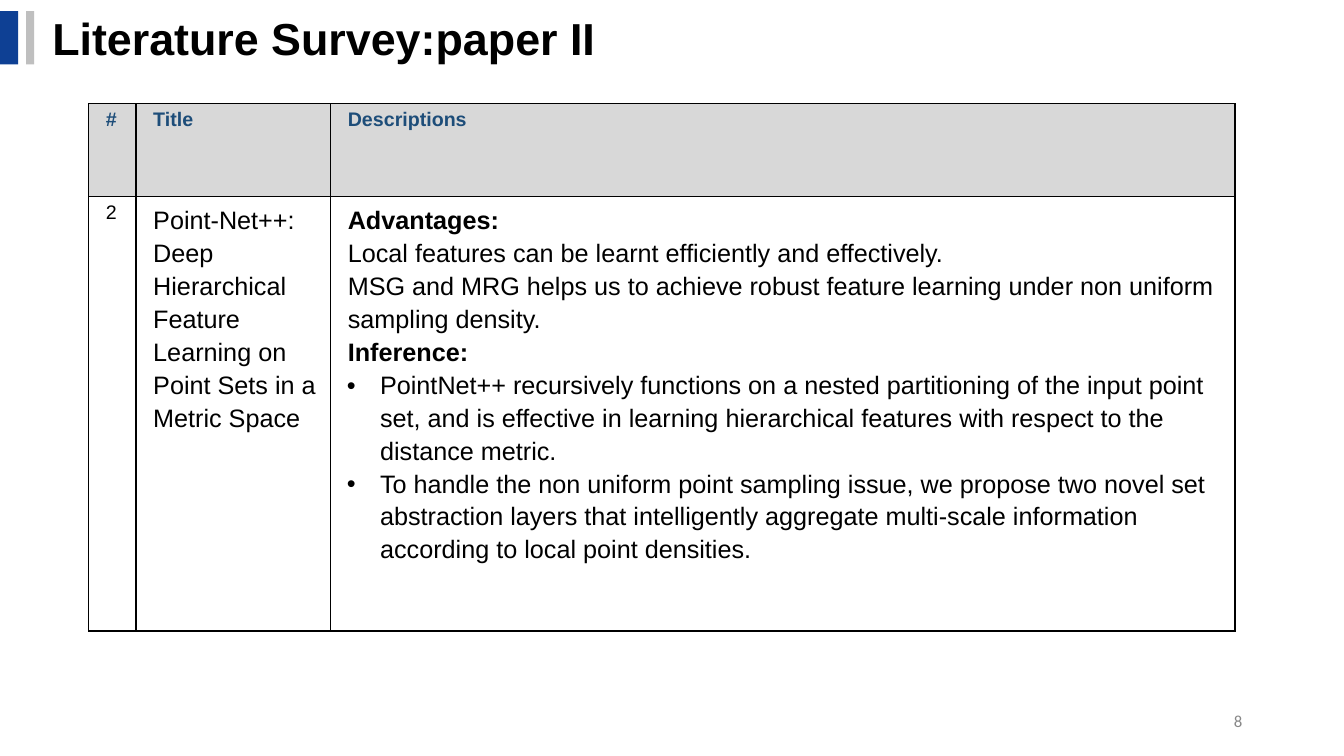
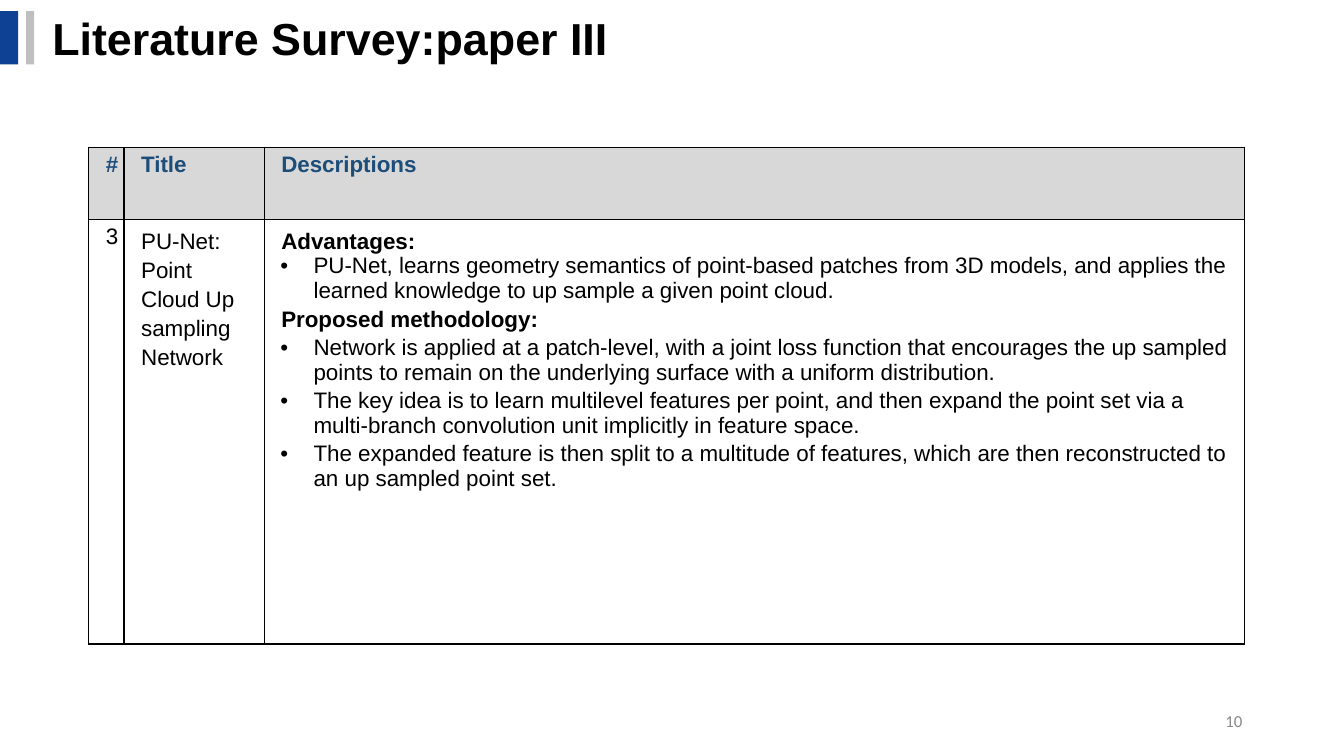
from dataclasses import dataclass

from lxml import etree
from pptx import Presentation
from pptx.dml.color import RGBColor
from pptx.enum.shapes import MSO_SHAPE
from pptx.enum.text import MSO_ANCHOR, PP_ALIGN
from pptx.oxml.ns import qn
from pptx.util import Inches, Pt

RECTANGLE = MSO_SHAPE.RECTANGLE
MIDDLE = MSO_ANCHOR.MIDDLE
LEFT = PP_ALIGN.LEFT
RIGHT = PP_ALIGN.RIGHT

COLORS = {
    "accent": "0E4094",
    "accent_light": "BFBFBF",
    "heading": "1D4D79",
    "heading_fill": "D8D8D8",
    "text": "000000",
    "page_number": "888888",
}
BODY_FONT = "Arial"
NUMBER_FONT = "Calibri"
BORDER_WIDTH = Pt(0.96)
TEXT_INDENT = 0.07
BULLET_INDENT = 0.39
BULLET_HANG = 0.33
LOOSE = 1.17
HEADINGS = ("#", "Title", "Descriptions")


@dataclass(frozen=True)
class Line:
    text: str
    size: float
    bold: bool = False
    bullet: bool = False
    spacing: float | None = None
    before: float = 0
    color: str = "text"
    font: str = BODY_FONT
    align: PP_ALIGN = LEFT


@dataclass(frozen=True)
class Survey:
    title: str
    page: str
    top: float
    columns: tuple[float, ...]
    rows: tuple[float, ...]
    label_size: float
    number: str
    paper: Line
    description: tuple[Line, ...]


SURVEYS = (
    Survey(
        "Literature Survey:paper II", "8", 1.03, (0.47, 1.93, 8.97), (0.92, 4.31), 14, "2",
        Line("Point-Net++: Deep Hierarchical Feature Learning on Point Sets in a Metric Space",
             18, spacing=LOOSE),
        (
            Line("Advantages:", 18, bold=True, spacing=LOOSE),
            Line("Local features can be learnt efficiently and effectively.", 18, spacing=LOOSE),
            Line("MSG and MRG helps us to achieve robust feature learning under non uniform "
                 "sampling density.", 18, spacing=LOOSE),
            Line("Inference:", 18, bold=True, spacing=LOOSE),
            Line("PointNet++ recursively functions on a nested partitioning of the input point "
                 "set, and is effective in learning hierarchical features with respect to the "
                 "distance metric.", 18, bullet=True, spacing=LOOSE),
            Line("To handle the non uniform point sampling issue, we propose two novel set "
                 "abstraction layers that intelligently aggregate multi-scale information "
                 "according to local point densities.", 18, bullet=True, spacing=LOOSE),
        ),
    ),
    Survey(
        "Literature Survey:paper III", "10", 1.46, (0.35, 1.39, 9.72), (0.72, 4.21), 16, "3",
        Line("PU-Net: Point Cloud Up sampling Network", 16, spacing=LOOSE),
        (
            Line("Advantages:", 16, bold=True, spacing=LOOSE),
            Line("PU-Net, learns geometry semantics of point-based patches from 3D models, and "
                 "applies the learned knowledge to up sample a given point cloud.",
                 16, bullet=True),
            Line("Proposed methodology:", 16, bold=True, before=2.4),
            Line("Network is applied at a patch-level, with a joint loss function that "
                 "encourages the up sampled points to remain on the underlying surface with a "
                 "uniform distribution.", 16, bullet=True, before=2.4),
            Line("The key idea is to learn multilevel features per point, and then expand the "
                 "point set via a multi-branch convolution unit implicitly in feature space.",
                 16, bullet=True, before=2.4),
            Line("The expanded feature is then split to a multitude of features, which are then "
                 "reconstructed to an up sampled point set.", 16, bullet=True, before=2.4),
        ),
    ),
)


def rgb(name: str) -> RGBColor:
    return RGBColor.from_string(COLORS[name])


def add_color(parent, name: str) -> None:
    etree.SubElement(parent, qn("a:srgbClr"), val=COLORS[name])


def indent_paragraph(paragraph, bullet: bool) -> None:
    properties = paragraph._p.get_or_add_pPr()
    margin, hang = (BULLET_INDENT, BULLET_HANG) if bullet else (TEXT_INDENT, 0)
    properties.set("marL", str(Inches(margin)))
    properties.set("indent", str(-Inches(hang)))
    if bullet:
        add_color(etree.SubElement(properties, qn("a:buClr")), "text")
        etree.SubElement(properties, qn("a:buFont"), typeface=BODY_FONT)
        etree.SubElement(properties, qn("a:buChar"), char="•")


def write_line(paragraph, line: Line) -> None:
    paragraph.text = line.text
    paragraph.alignment = line.align
    if line.spacing:
        paragraph.line_spacing = line.spacing
    if line.before:
        paragraph.space_before = Pt(line.before)
    font = paragraph.font
    font.name = line.font
    font.size = Pt(line.size)
    font.bold = line.bold
    font.color.rgb = rgb(line.color)


def add_bar(slide, left: float, width: float, color: str) -> None:
    bar = slide.shapes.add_shape(
        RECTANGLE, Inches(left), Inches(0.11), Inches(width), Inches(0.53))
    bar.shadow.inherit = False
    bar.fill.solid()
    bar.fill.fore_color.rgb = rgb(color)
    bar.line.fill.background()


def add_label(slide, left: float, top: float, width: float, height: float, line: Line) -> None:
    frame = slide.shapes.add_textbox(
        Inches(left), Inches(top), Inches(width), Inches(height)).text_frame
    frame.word_wrap = True
    frame.vertical_anchor = MIDDLE
    write_line(frame.paragraphs[0], line)


def add_borders(cell) -> None:
    properties = cell._tc.get_or_add_tcPr()
    for side in ("L", "R", "T", "B"):
        border = etree.SubElement(properties, qn(f"a:ln{side}"), w=str(BORDER_WIDTH))
        add_color(etree.SubElement(border, qn("a:solidFill")), "text")


def fill_cell(cell, lines: tuple[Line, ...], heading: bool) -> None:
    add_borders(cell)
    if heading:
        cell.fill.solid()
        cell.fill.fore_color.rgb = rgb("heading_fill")
    else:
        cell.fill.background()
    frame = cell.text_frame
    for index, line in enumerate(lines):
        paragraph = frame.add_paragraph() if index else frame.paragraphs[0]
        indent_paragraph(paragraph, line.bullet)
        write_line(paragraph, line)


def add_survey_table(slide, survey: Survey) -> None:
    table = slide.shapes.add_table(
        len(survey.rows), len(survey.columns), Inches(0.88), Inches(survey.top),
        Inches(sum(survey.columns)), Inches(sum(survey.rows))).table
    table.first_row = False
    table.horz_banding = False
    for column, width in zip(table.columns, survey.columns):
        column.width = Inches(width)
    for row, height in zip(table.rows, survey.rows):
        row.height = Inches(height)
    headings = [(Line(text, survey.label_size, bold=True, color="heading"),)
                for text in HEADINGS]
    entries = [(Line(survey.number, survey.label_size),), (survey.paper,), survey.description]
    for row_index, contents in enumerate((headings, entries)):
        for column_index, lines in enumerate(contents):
            fill_cell(table.cell(row_index, column_index), lines, heading=row_index == 0)


def add_survey_slide(presentation, survey: Survey) -> None:
    slide = presentation.slides.add_slide(presentation.slide_layouts[6])
    add_bar(slide, 0, 0.18, "accent")
    add_label(slide, 0.42, 0.06, 10.28, 0.63, Line(survey.title, 32, bold=True))
    add_bar(slide, 0.26, 0.08, "accent_light")
    add_label(slide, 9.42, 6.95, 3, 0.4,
              Line(survey.page, 12, color="page_number", font=NUMBER_FONT, align=RIGHT))
    add_survey_table(slide, survey)


def main() -> None:
    presentation = Presentation()
    presentation.slide_width = Inches(13.33)
    presentation.slide_height = Inches(7.5)
    for survey in SURVEYS:
        add_survey_slide(presentation, survey)
    presentation.save("out.pptx")


if __name__ == "__main__":
    main()
